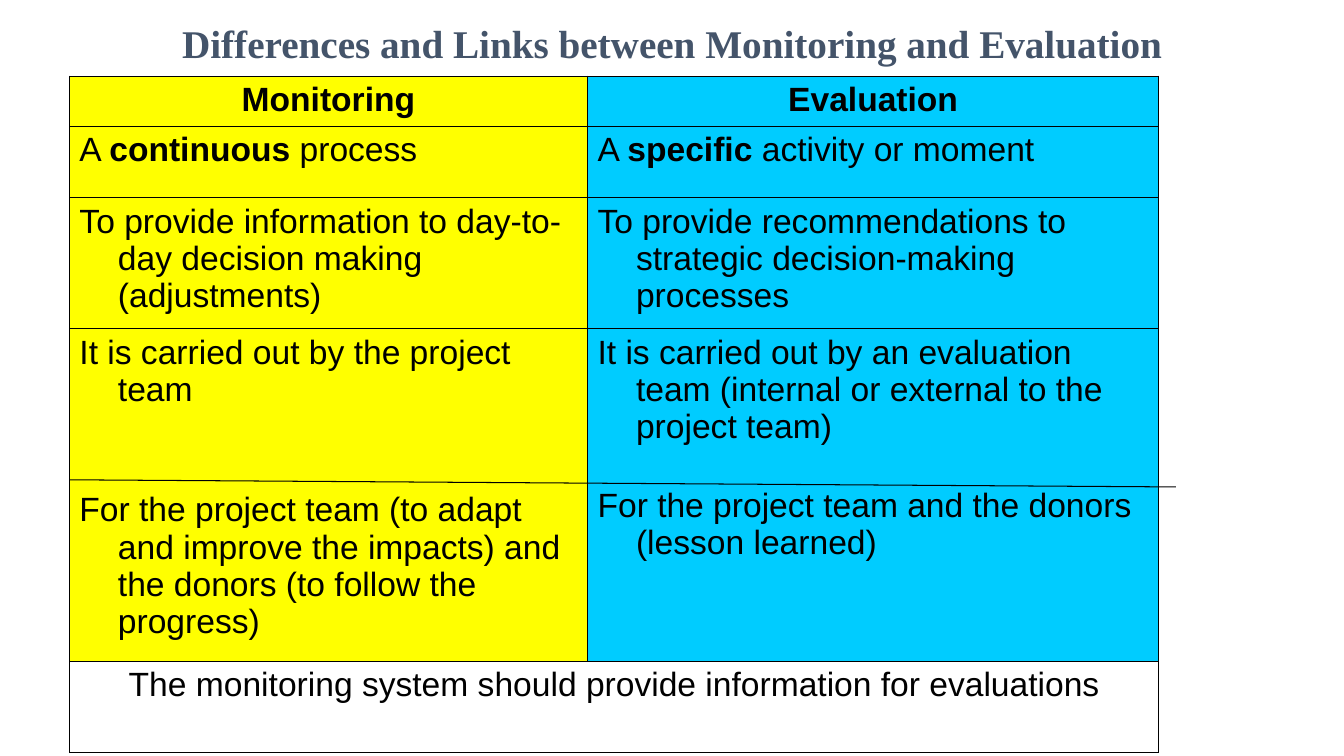
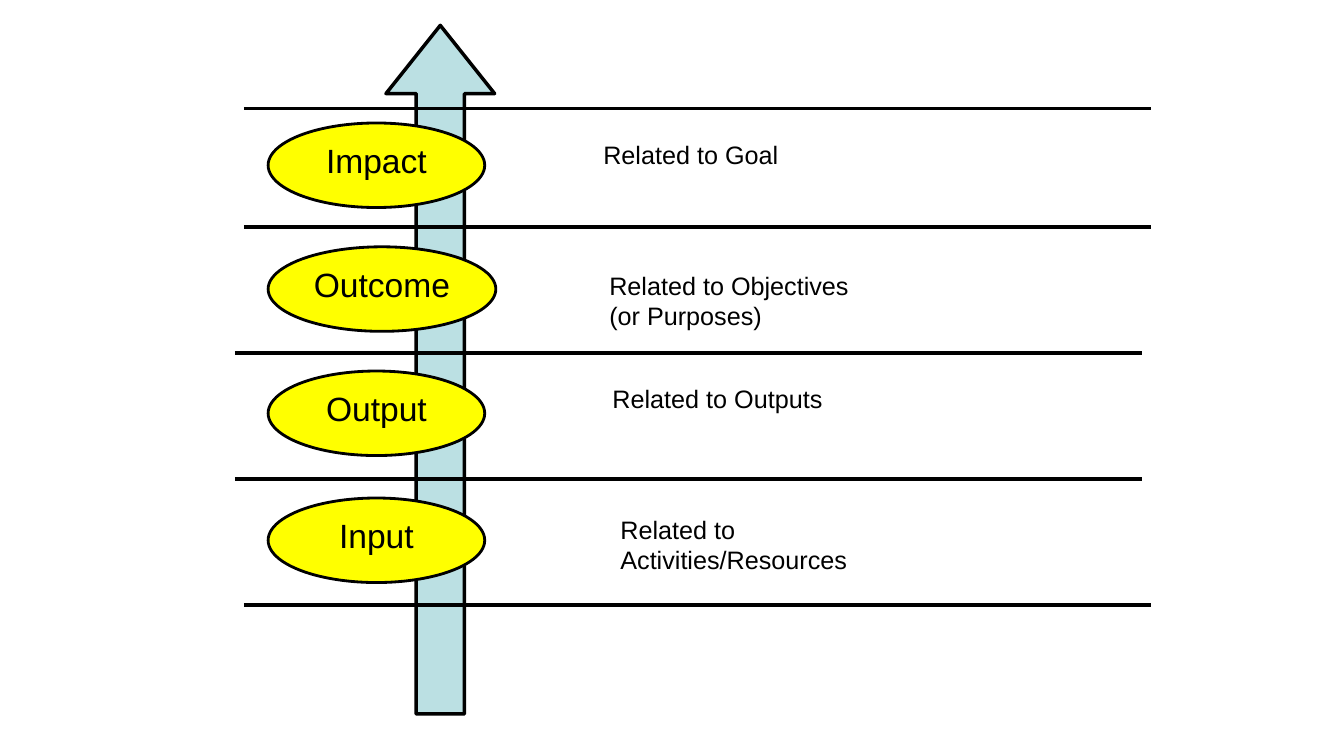
from dataclasses import dataclass

from lxml import etree
from pptx import Presentation
from pptx.dml.color import RGBColor
from pptx.enum import shapes, text
from pptx.oxml import ns
from pptx.util import Cm, Pt


@dataclass(frozen=True)
class Theme:
    black = RGBColor(0x00, 0x00, 0x00)
    white = RGBColor(0xFF, 0xFF, 0xFF)
    slate = RGBColor(0x44, 0x54, 0x6A)
    yellow = RGBColor(0xFF, 0xFF, 0x00)
    cyan = RGBColor(0x00, 0xCC, 0xFF)
    pale_blue = RGBColor(0xBB, 0xE0, 0xE3)
    title_font = "Times New Roman"
    body_font = "Arial"
    title_size = 28
    body_size = 24
    note_size = 18
    border = 0.45
    divider = 0.75
    outline = 2
    heavy = 2.5


@dataclass(frozen=True)
class Box:
    left: float
    top: float
    width: float
    height: float

    def inner(self, left, top, width, height):
        return Box(self.left + left, self.top + top, width, height)

    def lengths(self):
        return Cm(self.left), Cm(self.top), Cm(self.width), Cm(self.height)


THEME = Theme()
HANGING = 0.97

COMPARISON = [
    (["*Monitoring*"], ["*Evaluation*"]),
    (["A *continuous* process"], ["A *specific* activity or moment"]),
    (
        ["To provide information to day-to-day decision making (adjustments)"],
        ["To provide recommendations to strategic decision-making processes"],
    ),
    (
        [
            "It is carried out by the project team",
            "For the project team (to adapt and improve the impacts) "
            "and the donors (to follow the progress)",
        ],
        [
            "It is carried out by an evaluation team "
            "(internal or external to the project team)",
            "For the project team and the donors (lesson learned)",
        ],
    ),
]
AUDIENCE_GAPS = (59, 29)
CONCLUSION = "The monitoring system should provide information for evaluations"
COLUMN_WIDTHS = (13.06, 14.4)
ROW_HEIGHTS = (1.27, 1.8, 3.3, 8.38, 2.29)

LEVELS = [
    ("Impact", 2.46, 5.46, "Related to Goal", 9.04, 2.74, 1.02),
    ("Outcome", 5.58, 5.74, "Related to Objectives (or Purposes)", 9.19, 6.04, 1.78),
    ("Output", 8.71, 5.46, "Related to Outputs", 9.27, 8.89, 1.02),
    ("Input", 11.91, 5.46, "Related to Activities/Resources", 9.47, 12.19, 1.78),
]
LEVEL_LINES = [(0.23, 2.1), (0.23, 5.08), (0, 8.25), (0, 11.43), (0.23, 14.6)]


def set_font(paragraph, size, color=THEME.black, name=THEME.body_font, bold=None):
    font = paragraph.font
    font.name, font.size, font.bold = name, Pt(size), bold
    font.color.rgb = color


def add_line(slide, start, end, width):
    line = slide.shapes.add_connector(
        shapes.MSO_CONNECTOR.STRAIGHT, *(Cm(value) for value in start + end)
    )
    line.line.color.rgb = THEME.black
    line.line.width = Pt(width)
    etree.SubElement(line._element.spPr, ns.qn("a:effectLst"))


def add_outlined(slide, kind, box, fill, width):
    shape = slide.shapes.add_shape(kind, *box.lengths())
    shape.shadow.inherit = False
    shape.fill.solid()
    shape.fill.fore_color.rgb = fill
    shape.line.color.rgb = THEME.black
    shape.line.width = Pt(width)
    return shape


def place_title(slide, box, words):
    title = slide.shapes.title
    title.left, title.top, title.width, title.height = box.lengths()
    frame = title.text_frame
    frame.text = words
    frame.auto_size = text.MSO_AUTO_SIZE.NONE
    frame.vertical_anchor = text.MSO_ANCHOR.MIDDLE
    paragraph = frame.paragraphs[0]
    paragraph.alignment = text.PP_ALIGN.CENTER
    set_font(paragraph, THEME.title_size, THEME.slate, THEME.title_font, True)


def set_borders(cell):
    properties = cell._tc.get_or_add_tcPr()
    for index, side in enumerate(("lnL", "lnR", "lnT", "lnB")):
        border = etree.Element(ns.qn(f"a:{side}"), w=str(Pt(THEME.border)))
        fill = etree.SubElement(border, ns.qn("a:solidFill"))
        etree.SubElement(fill, ns.qn("a:srgbClr"), val=str(THEME.black))
        properties.insert(index, border)


def fill_cell(cell, paragraphs, color, centered=False, gap=0):
    cell.fill.solid()
    cell.fill.fore_color.rgb = color
    set_borders(cell)
    frame = cell.text_frame
    for index, words in enumerate(paragraphs):
        paragraph = frame.add_paragraph() if index else frame.paragraphs[0]
        properties = paragraph._p.get_or_add_pPr()
        properties.set("marL", str(Cm(HANGING)))
        properties.set("indent", str(-Cm(HANGING)))
        if centered:
            paragraph.alignment = text.PP_ALIGN.CENTER
        if index:
            paragraph.space_before = Pt(gap)
        set_font(paragraph, THEME.body_size)
        for part, piece in enumerate(words.split("*")):
            if piece:
                run = paragraph.add_run()
                run.text = piece
                run.font.bold = part % 2 == 1


def place_comparison(slide, box):
    table = slide.shapes.add_table(
        len(ROW_HEIGHTS), len(COLUMN_WIDTHS), *box.lengths()
    ).table
    table.first_row = table.horz_banding = False
    for column, width in zip(table.columns, COLUMN_WIDTHS):
        column.width = Cm(width)
    for row, height in zip(table.rows, ROW_HEIGHTS):
        row.height = Cm(height)
    for row, pair in enumerate(COMPARISON):
        for column, color in enumerate((THEME.yellow, THEME.cyan)):
            fill_cell(
                table.cell(row, column), pair[column], color,
                row == 0, AUDIENCE_GAPS[column],
            )
    last = len(COMPARISON)
    table.cell(last, 0).merge(table.cell(last, 1))
    fill_cell(table.cell(last, 0), [CONCLUSION], THEME.white, True)
    set_borders(table.cell(last, 1))
    add_line(
        slide,
        (box.left, box.top + 10.18),
        (box.left + box.width + 0.43, box.top + 10.36),
        THEME.divider,
    )


def place_level(slide, box, level):
    name, top, width, relation, note_left, note_top, note_height = level
    ellipse = add_outlined(
        slide, shapes.MSO_SHAPE.OVAL, box.inner(0.84, top, width, 2.13),
        THEME.yellow, THEME.outline,
    )
    frame = ellipse.text_frame
    frame.text = name
    frame.vertical_anchor = text.MSO_ANCHOR.TOP
    frame.paragraphs[0].alignment = text.PP_ALIGN.CENTER
    set_font(frame.paragraphs[0], THEME.body_size)
    note = slide.shapes.add_textbox(
        *box.inner(note_left, note_top, 7.44, note_height).lengths()
    )
    note.text_frame.word_wrap = True
    note.text_frame.text = relation
    set_font(note.text_frame.paragraphs[0], THEME.note_size)


def place_results_ladder(slide, box):
    arrow = add_outlined(
        slide, shapes.MSO_SHAPE.UP_ARROW, box.inner(3.81, 0, 2.74, box.height),
        THEME.pale_blue, THEME.heavy,
    )
    arrow.adjustments[0] = 0.444
    arrow.adjustments[1] = 0.628
    for shift, offset in LEVEL_LINES:
        left, top = box.left + shift, box.top + offset
        add_line(slide, (left, top), (left + box.width, top), THEME.heavy)
    for level in LEVELS:
        place_level(slide, box, level)


def main():
    presentation = Presentation()
    presentation.slide_width, presentation.slide_height = Cm(33.88), Cm(19.05)
    title_only, blank = presentation.slide_layouts[5], presentation.slide_layouts[6]

    comparison = presentation.slides.add_slide(title_only)
    place_title(
        comparison, Box(4.24, 0.25, 25.4, 1.65),
        "Differences and Links between Monitoring and Evaluation",
    )
    place_comparison(
        comparison, Box(1.75, 1.91, sum(COLUMN_WIDTHS), sum(ROW_HEIGHTS))
    )

    ladder = presentation.slides.add_slide(blank)
    place_results_ladder(ladder, Box(5.92, 0.64, 22.86, 17.35))
    presentation.save("out.pptx")


if __name__ == "__main__":
    main()
